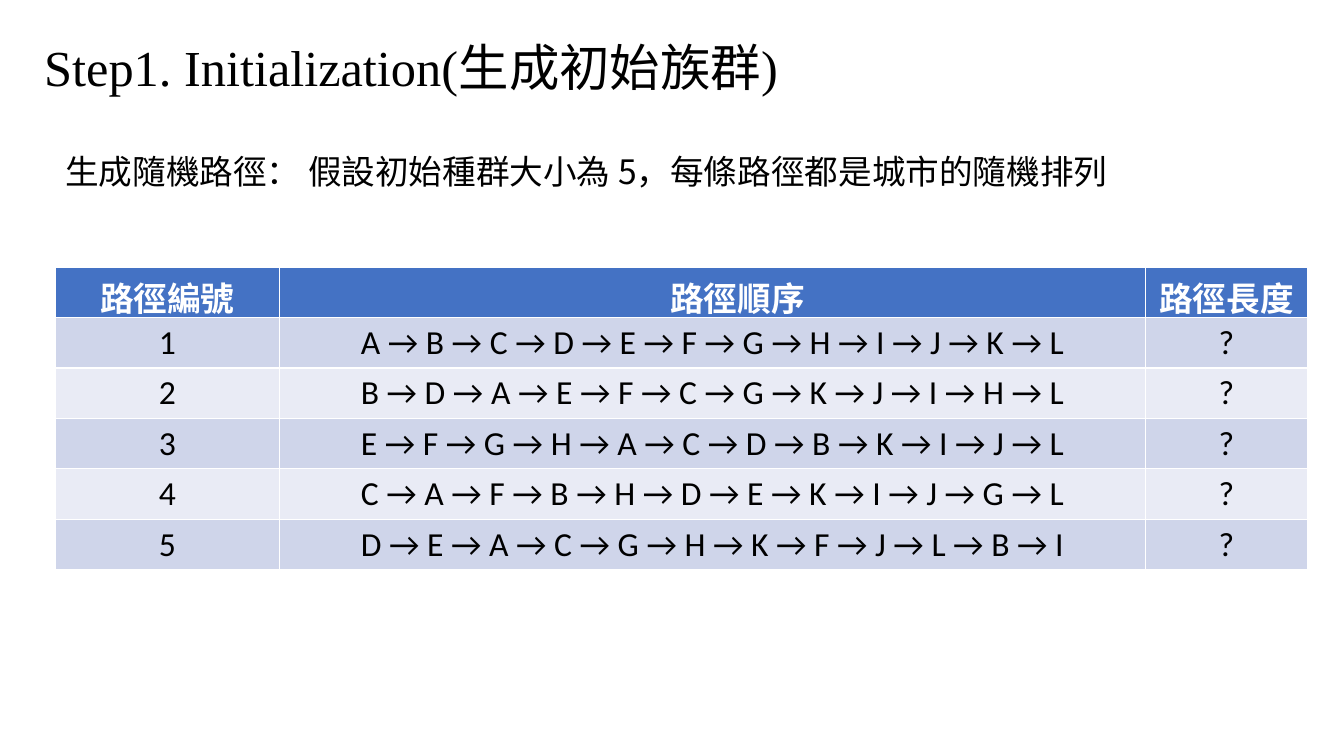
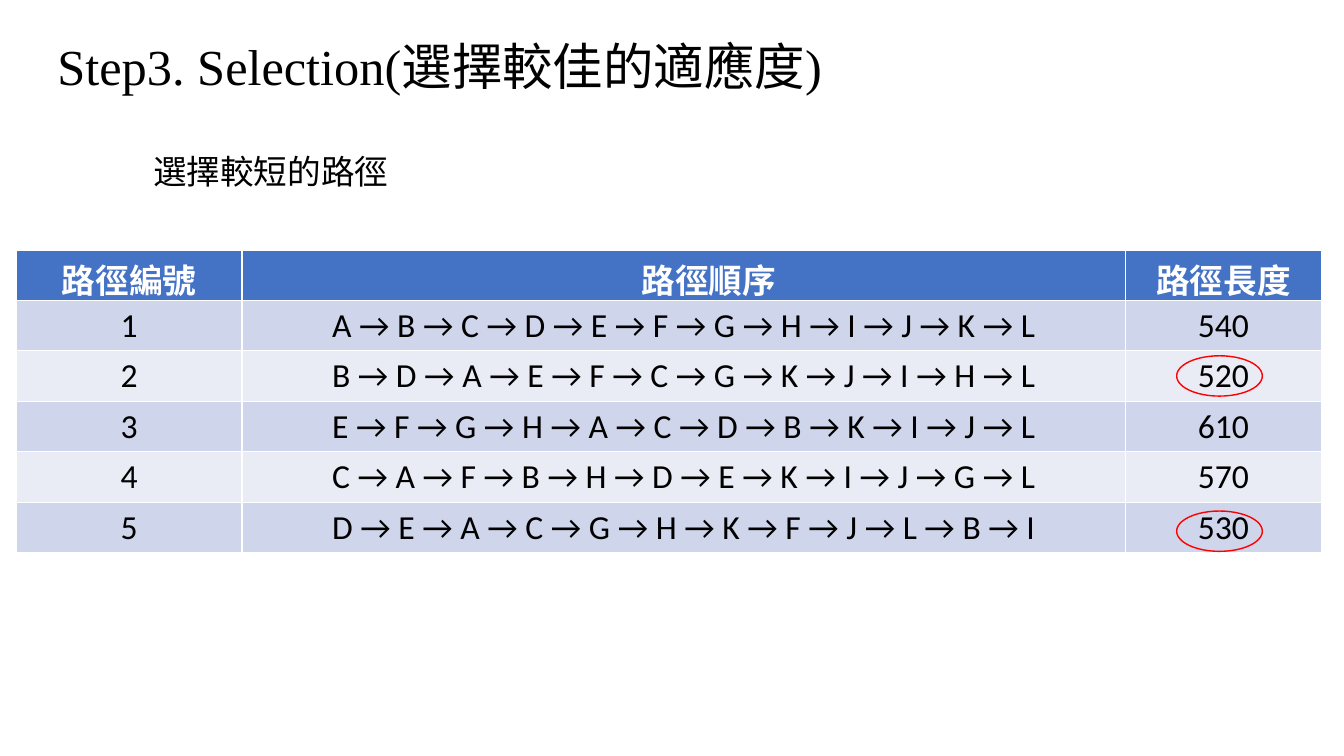
"""Build two genetic-algorithm slides: the initial population and the selection step."""
from pptx import Presentation
from pptx.dml.color import RGBColor
from pptx.enum.shapes import MSO_SHAPE
from pptx.enum.text import MSO_ANCHOR, PP_ALIGN
from pptx.util import Pt

PX = 9144
BLACK = RGBColor(0x00, 0x00, 0x00)
WHITE = RGBColor(0xFF, 0xFF, 0xFF)
RED = RGBColor(0xFF, 0x00, 0x00)
HEADER_BLUE = RGBColor(0x44, 0x72, 0xC4)
BANDS = [RGBColor(0xE9, 0xEB, 0xF5), RGBColor(0xCF, 0xD5, 0xEA)]
TITLE_FONT, SUBTITLE_FONT, TABLE_FONT = "Times New Roman", "Noto Sans CJK SC", "Calibri"
OVAL = MSO_SHAPE.OVAL
CENTER = PP_ALIGN.CENTER
MIDDLE = MSO_ANCHOR.MIDDLE

ROW_HEIGHT = 50
HEADER = ("路徑編號", "\t路徑順序", "路徑長度")
ROUTES = ["ABCDEFGHIJKL", "BDAEFCGKJIHL", "EFGHACDBKIJL", "CAFBHDEKIJGL", "DEACGHKFJLBI"]

STEPS = [
    {
        "title": ("Step1. Initialization(生成初始族群)", (34, 31, 1184, 71)),
        "subtitle": ("生成隨機路徑： 假設初始種群大小為 5，每條路徑都是城市的隨機排列", (55, 145, 1223, 50)),
        "table_at": (55, 265),
        "columns": (222, 859, 161),
        "lengths": ["?"] * 5,
        "circles": [],
    },
    {
        "title": ("Step3. Selection(選擇較佳的適應度)", (47, 30, 910, 71)),
        "subtitle": ("選擇較短的路徑", (142, 145, 1076, 50)),
        "table_at": (16, 248),
        "columns": (224, 876, 195),
        "lengths": ["540", "520", "610", "570", "530"],
        "circles": [(1167, 353, 85, 40), (1167, 507, 85, 40)],
    },
]


def px(*lengths):
    """Turn pixel lengths into EMU."""
    return [length * PX for length in lengths]


def style_text(frame, font_name, size, color, bold=False):
    """Format the only run of a text frame."""
    font = frame.paragraphs[0].runs[0].font
    font.name, font.size, font.bold = font_name, Pt(size), bold
    font.color.rgb = color


prs = Presentation()
prs.slide_width, prs.slide_height = px(1333, 750)
blank = prs.slide_layouts[6]

for step in STEPS:
    slide = prs.slides.add_slide(blank)

    for part, font_name, size in (("title", TITLE_FONT, 36), ("subtitle", SUBTITLE_FONT, 24)):
        wording, place = step[part]
        frame = slide.shapes.add_textbox(*px(*place)).text_frame
        frame.word_wrap = True
        frame.text = wording
        style_text(frame, font_name, size, BLACK)

    rows = [HEADER]
    for number, (route, length) in enumerate(zip(ROUTES, step["lengths"]), 1):
        rows.append((str(number), " → ".join(route), length))

    table_size = (sum(step["columns"]), ROW_HEIGHT * len(rows))
    routes_table = slide.shapes.add_table(
        len(rows), len(HEADER), *px(*step["table_at"], *table_size)).table
    for column, width in zip(routes_table.columns, px(*step["columns"])):
        column.width = width

    for r, row in enumerate(rows):
        is_header = r == 0
        for c, wording in enumerate(row):
            cell = routes_table.cell(r, c)
            cell.text = wording
            cell.vertical_anchor = MIDDLE
            cell.fill.solid()
            cell.fill.fore_color.rgb = HEADER_BLUE if is_header else BANDS[r % 2]
            cell.text_frame.paragraphs[0].alignment = CENTER
            style_text(cell.text_frame, TABLE_FONT, 24, WHITE if is_header else BLACK, is_header)

    for place in step["circles"]:
        circle = slide.shapes.add_shape(OVAL, *px(*place))
        circle.shadow.inherit = False
        circle.fill.background()
        circle.line.color.rgb = RED
        circle.line.width = Pt(1)

prs.save("out.pptx")
